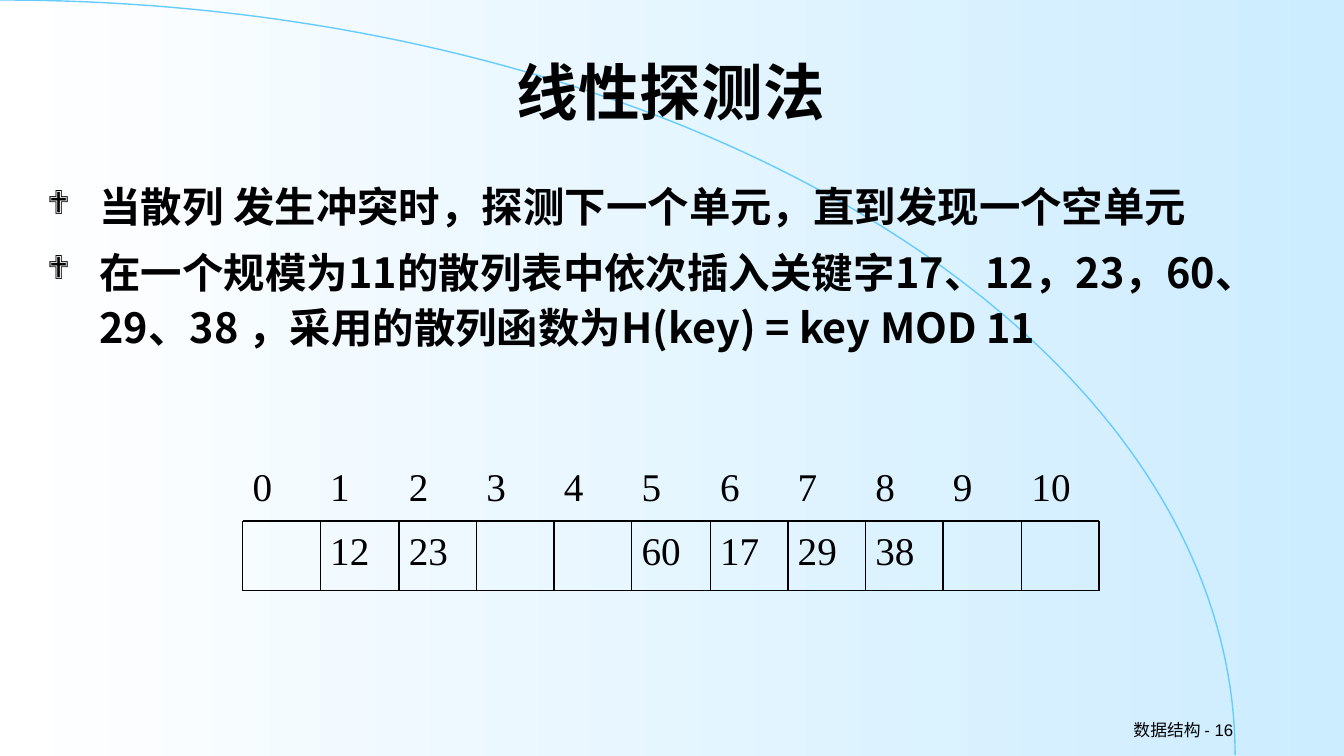
from dataclasses import dataclass
from math import cos, pi, sin

from lxml import etree
from pptx import Presentation
from pptx.dml.color import RGBColor
from pptx.enum.shapes import MSO_CONNECTOR
from pptx.enum.text import MSO_ANCHOR, PP_ALIGN
from pptx.oxml.ns import qn
from pptx.util import Pt

PX = 9144
STRAIGHT = MSO_CONNECTOR.STRAIGHT
TOP, MIDDLE = MSO_ANCHOR.TOP, MSO_ANCHOR.MIDDLE
LEFT, CENTER, RIGHT = PP_ALIGN.LEFT, PP_ALIGN.CENTER, PP_ALIGN.RIGHT


@dataclass(frozen=True)
class Theme:
    ink: str = "000000"
    pale: str = "FFFFFF"
    sky: str = "CCECFF"
    curve: str = "66CCFF"
    sans: str = "Arial"
    han: str = "Noto Sans CJK SC"
    serif: str = "Times New Roman"
    mark: str = "Wingdings"
    title: float = 44
    body: float = 29.6
    cell: float = 28
    foot: float = 12


theme = Theme()


def write(area, lines, size, font, bold=False, align=LEFT, anchor=TOP, before=0, bullet=None):
    frame = shapes.add_textbox(*(n * PX for n in area)).text_frame
    frame.word_wrap = True
    frame.vertical_anchor = anchor
    for i, line in enumerate(lines):
        para = frame.add_paragraph() if i else frame.paragraphs[0]
        para.alignment = align
        para.space_before = Pt(before)
        run = para.add_run()
        run.text = line
        run.font.size = Pt(size)
        run.font.name = font
        run.font.bold = bold
        run.font.color.rgb = RGBColor.from_string(theme.ink)
        etree.SubElement(run.font._element, qn("a:ea"), typeface=theme.han)
        if bullet:
            para.line_spacing = 1.1
            props = para._p.get_or_add_pPr()
            props.set("marL", str(52 * PX))
            props.set("indent", str(-52 * PX))
            tint = etree.SubElement(props, qn("a:buClr"))
            etree.SubElement(tint, qn("a:srgbClr"), val=theme.ink)
            etree.SubElement(props, qn("a:buSzPct"), val="80000")
            etree.SubElement(props, qn("a:buFont"), typeface=theme.mark)
            etree.SubElement(props, qn("a:buChar"), char=bullet)


def rule(*ends):
    line = shapes.add_connector(STRAIGHT, *(n * PX for n in ends))
    line.line.color.rgb = RGBColor.from_string(theme.ink)
    line.line.width = Pt(1)
    etree.SubElement(line._element.spPr, qn("a:effectLst"))


deck = Presentation()
deck.slide_width = 1334 * PX
deck.slide_height = 750 * PX
slide = deck.slides.add_slide(deck.slide_layouts[6])
shapes = slide.shapes

back = slide.background.fill
back.gradient()
back.gradient_angle = 0
for stop, color, place in zip(back.gradient_stops, (theme.pale, theme.sky), (0, 1)):
    stop.color.rgb = RGBColor.from_string(color)
    stop.position = place

wide, high, steps = 1226 * PX, 749 * PX, 90
angles = [pi / 2 * i / steps for i in range(steps + 1)]
points = [(round(wide * sin(a)), round(high * (1 - cos(a)))) for a in angles]
pen = shapes.build_freeform(*points[0], scale=1)
pen.add_line_segments(points[1:], close=False)
curve = pen.convert_to_shape()
curve.shadow.inherit = False
curve.fill.background()
curve.line.color.rgb = RGBColor.from_string(theme.curve)
curve.line.width = Pt(1)

write((956, 708, 278, 33), ["数据结构 - 16"],
      size=theme.foot, font=theme.sans, align=RIGHT, anchor=MIDDLE)
write((241, 28, 850, 125), ["线性探测法"],
      size=theme.title, font=theme.sans, bold=True, align=CENTER, anchor=MIDDLE)
write((37, 170, 1234, 236),
      ["当散列 发生冲突时，探测下一个单元，直到发现一个空单元",
       "在一个规模为11的散列表中依次插入关键字17、12，23，60、29、38 ，"
       "采用的散列函数为H(key) = key MOD 11"],
      size=theme.body, font=theme.han, bold=True, before=8, bullet="❖")

slots = 11
keys = {1: 12, 2: 23, 5: 60, 6: 17, 7: 29, 8: 38}
head, top, base = 454, 517, 586
edges = [241 + round(850 * i / slots) for i in range(slots + 1)]
style = dict(size=theme.cell, font=theme.serif, before=3)
for slot in range(slots):
    write((edges[slot], head, 77, 63), [str(slot)], **style)
    if slot in keys:
        write((edges[slot], top, 77, 70), [str(keys[slot])], **style)
for y in (top, base):
    rule(edges[0], y, edges[-1], y)
for x in edges:
    rule(x, top, x, base)

deck.save("out.pptx")
